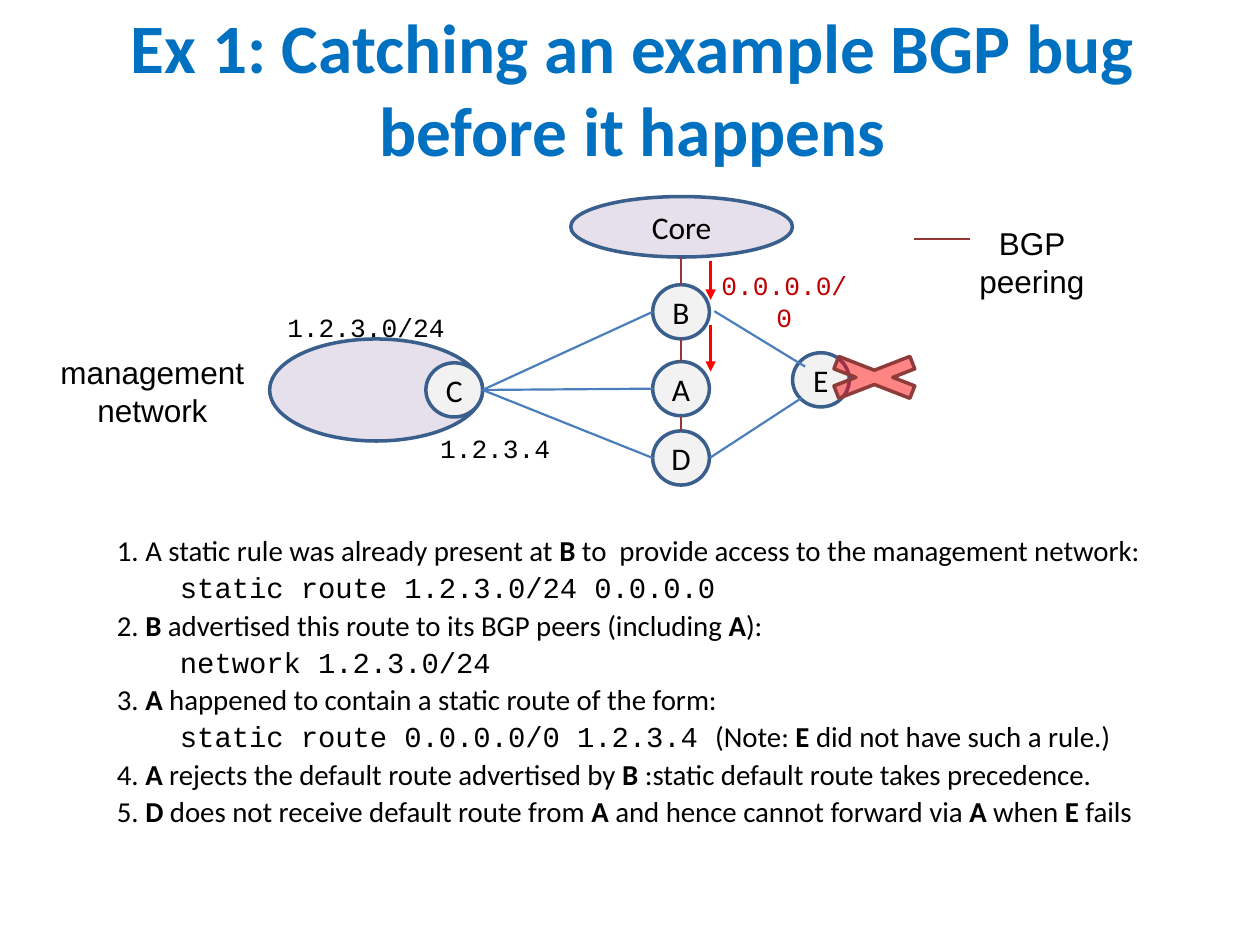
from lxml import etree
from pptx import Presentation
from pptx.dml.color import RGBColor
from pptx.enum.shapes import MSO_CONNECTOR, MSO_SHAPE
from pptx.enum.text import MSO_ANCHOR, MSO_AUTO_SIZE, PP_ALIGN
from pptx.oxml.ns import qn
from pptx.util import Inches, Pt

NAVY, BLUE, MAROON, RED = "3A5F8C", "4B7EBC", "953735", "FF0000"
LILAC, GREY, BLACK = "E6E0EC", "F2F2F2", "000000"


def rgb(color):
    return RGBColor.from_string(color)


def set_font(font, name, size, color=BLACK, bold=False):
    font.name, font.size, font.bold = name, Pt(size), bold
    font.color.rgb = rgb(color)


def add_label(s, x, y, w, h, text, name, size, color=BLACK, bold=False, grow=True):
    tf = s.shapes.add_textbox(Inches(x), Inches(y), Inches(w), Inches(h)).text_frame
    tf.word_wrap = True
    if grow:
        tf.auto_size = MSO_AUTO_SIZE.SHAPE_TO_FIT_TEXT
    p = tf.paragraphs[0]
    p.text, p.alignment = text, PP_ALIGN.CENTER
    set_font(p.font, name, size, color, bold)
    return tf


def add_preset(s, kind, x, y, w, h, fill, line=NAVY, text=""):
    sp = s.shapes.add_shape(kind, Inches(x), Inches(y), Inches(w), Inches(h))
    sp.shadow.inherit = False
    sp.fill.solid()
    sp.fill.fore_color.rgb = rgb(fill)
    sp.line.color.rgb = rgb(line)
    sp.line.width = Pt(2)
    if text:
        tf = sp.text_frame
        tf.margin_left = tf.margin_right = tf.margin_top = tf.margin_bottom = 0
        tf.word_wrap = False
        tf.vertical_anchor = MSO_ANCHOR.MIDDLE
        p = tf.paragraphs[0]
        p.text, p.alignment = text, PP_ALIGN.CENTER
        set_font(p.font, "Calibri", 18)
    return sp


def add_line(s, x1, y1, x2, y2, color, width=1.25, arrow=False):
    line = s.shapes.add_connector(
        MSO_CONNECTOR.STRAIGHT, Inches(x1), Inches(y1), Inches(x2), Inches(y2))
    line.line.color.rgb = rgb(color)
    line.line.width = Pt(width)
    if arrow:
        etree.SubElement(line.line._get_or_add_ln(), qn("a:tailEnd"), type="triangle")
    etree.SubElement(line._element.spPr, qn("a:effectLst"))


def add_title(s, x, y, w, h):
    tf = add_label(s, x, y, w, h, "Ex 1: Catching an example BGP bug before it happens",
                   "Calibri", 39.6, "0070C0", True, grow=False)
    tf.vertical_anchor = MSO_ANCHOR.MIDDLE


def add_network(s, x, y):
    node_w, node_h = 0.45, 0.43
    nodes = {"C": (3.22, 1.32), "B": (5.02, 0.7), "E": (6.13, 1.24),
             "A": (5.02, 1.31), "D": (5.02, 1.86)}
    add_preset(s, MSO_SHAPE.OVAL, x + 4.37, y, 1.76, 0.48, LILAC, text="Core")
    add_preset(s, MSO_SHAPE.OVAL, x + 1.98, y + 1.13, 1.69, 0.81, LILAC)
    for name, (dx, dy) in nodes.items():
        add_preset(s, MSO_SHAPE.OVAL, x + dx, y + dy, node_w, node_h, GREY, text=name)

    peer_x = x + nodes["B"][0] + node_w / 2
    peer_top = y + 0.48
    for name in "BAD":
        node_y = y + nodes[name][1]
        add_line(s, peer_x, peer_top, peer_x, node_y, MAROON)
        peer_top = node_y + node_h
        add_line(s, x + nodes[name][0], node_y + node_h / 2,
                 x + nodes["C"][0] + node_w, y + nodes["C"][1] + node_h / 2, BLUE)
    add_line(s, x + 6.2, y + 1.6, x + 5.48, y + 2.07, BLUE)
    add_line(s, x + 6.23, y + 1.35, x + 5.51, y + 0.91, BLUE)
    for top, bottom in ((0.51, 0.82), (1.02, 1.39)):
        add_line(s, x + 5.48, y + top, x + 5.48, y + bottom, RED, 1.5, arrow=True)

    cross = add_preset(s, MSO_SHAPE.MATH_MULTIPLY, x + 6.2, y + 1.21, 1.16, 0.45, RED, "8E3B39")
    fill_color = cross._element.spPr.find(qn("a:solidFill"))[0]
    etree.SubElement(fill_color, qn("a:alpha"), val="48000")

    add_label(s, x, y + 1.19, 2.1, 0.71, "management network", "Arial", 18)
    for dx, dy, w, h, text, color in (
            (3.21, 1.82, 1.12, 0.35, "1.2.3.4", BLACK),
            (1.99, 0.86, 1.51, 0.35, "1.2.3.0/24", BLACK),
            (5.42, 0.53, 1.29, 0.61, "0.0.0.0/0", "C00000")):
        add_label(s, x + dx, y + dy, w, h, text, "Courier New", 15, color)


def add_legend(s, x, y):
    add_line(s, x, y + 0.17, x + 0.45, y + 0.17, MAROON)
    add_label(s, x + 0.39, y, 1.1, 0.71, "BGP peering", "Arial", 18)


def add_steps(s, x, y, w, h):
    steps = (
        ("1. A static rule was already present at *B* to  provide access to the management network:",
         "static route 1.2.3.0/24 0.0.0.0", ""),
        ("2. *B *advertised this route to its BGP peers (including *A*):",
         "network 1.2.3.0/24", ""),
        ("3. *A* happened to contain a static route of the form:",
         "static route 0.0.0.0/0 1.2.3.4 ", "(Note: *E* did not have such a rule.)"),
        ("4. *A* rejects the default route advertised by *B* :static default route takes precedence.",
         "", ""),
        ("5. *D* does not receive default route from *A* and hence cannot forward via *A* when *E* fails",
         "", ""),
    )
    tf = s.shapes.add_textbox(Inches(x), Inches(y), Inches(w), Inches(h)).text_frame
    tf.word_wrap = True

    def add_runs(p, marked):
        for i, part in enumerate(marked.split("*")):
            if part:
                r = p.add_run()
                r.text = part
                set_font(r.font, "Calibri", 16.5, bold=i % 2 == 1)

    for i, (sentence, code, note) in enumerate(steps):
        p = tf.add_paragraph() if i else tf.paragraphs[0]
        p.space_before = Pt(1.5 if i else 0)
        add_runs(p, sentence)
        if code:
            p = tf.add_paragraph()
            p.space_before = Pt(1.5)
            r = p.add_run()
            r.text = "\t" + code
            set_font(r.font, "Courier New", 16.5)
            add_runs(p, note)


def main():
    prs = Presentation()
    prs.slide_width, prs.slide_height = Inches(10), Inches(7.5)
    s = prs.slides.add_slide(prs.slide_layouts[6])
    add_title(s, 0.58, 0.16, 8.88, 1.07)
    add_network(s, 0.16, 1.56)
    add_legend(s, 7.25, 1.73)
    add_steps(s, 0.83, 4.18, 8.88, 2.83)
    prs.save("out.pptx")


if __name__ == "__main__":
    main()
